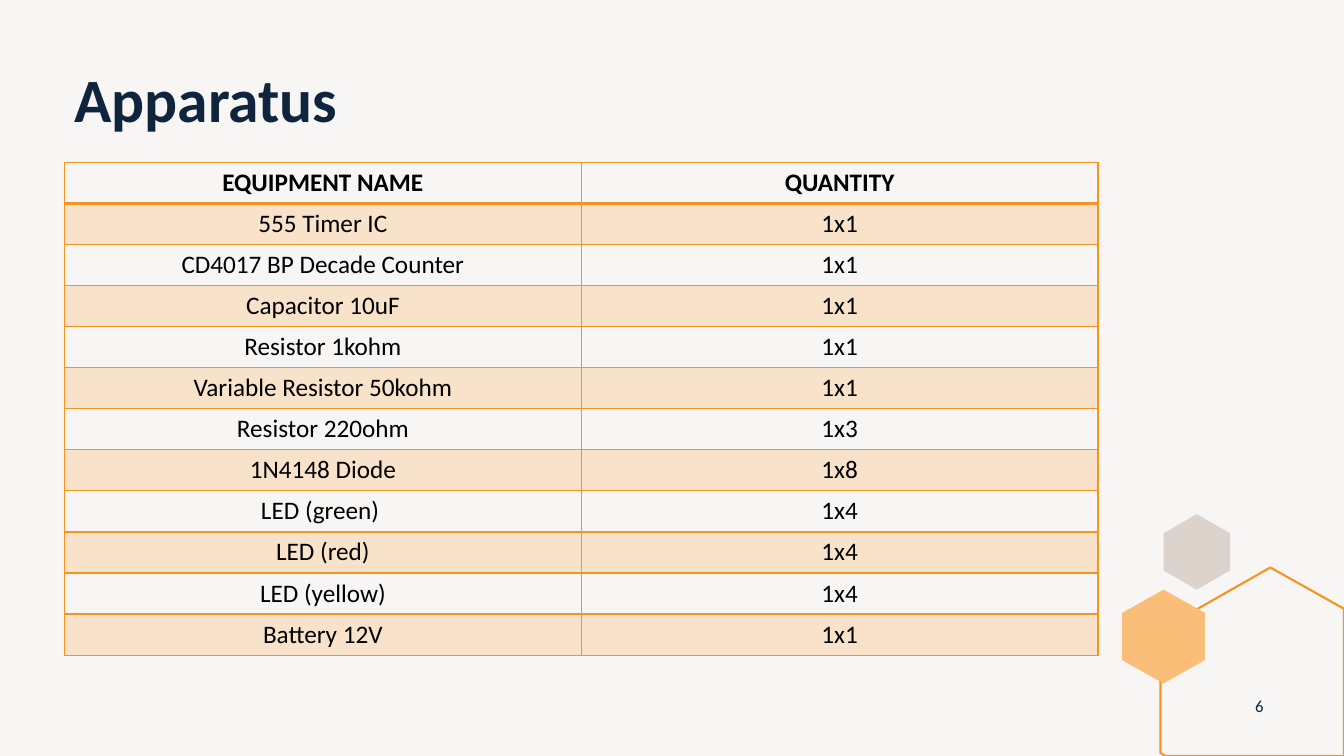
import pptx
import pptx.util
import pptx.dml.color
import pptx.enum.text
import pptx.oxml
import pptx.oxml.ns
from pptx.util import Inches

COLORS = {
    "background": "F8F6F5",
    "stone": "DCD3CC",
    "orange": "F79320",
    "apricot": "FABE79",
    "band": "F8E2CA",
    "navy": "0F253E",
    "black": "000000",
}
CENTER = pptx.enum.text.PP_ALIGN.CENTER
MIDDLE = pptx.enum.text.MSO_ANCHOR.MIDDLE


def rgb(name):
    return pptx.dml.color.RGBColor.from_string(COLORS[name])


def style_text(frame, size, color, bold=False, align=None):
    paragraph = frame.paragraphs[0]
    paragraph.alignment = align
    font = paragraph.runs[0].font
    font.name = "Calibri"
    font.size = pptx.util.Pt(size)
    font.bold = bold
    font.color.rgb = rgb(color)


deck = pptx.Presentation()
deck.slide_width = Inches(13.33)
deck.slide_height = Inches(7.5)
slide = deck.slides.add_slide(deck.slide_layouts[6])
slide.background.fill.solid()
slide.background.fill.fore_color.rgb = rgb("background")

hexagons = [
    ([(11.87, 5.1), (12.2, 5.29), (12.2, 5.66), (11.87, 5.85), (11.54, 5.66), (11.54, 5.29)], "stone", None),
    ([(12.6, 5.63), (13.33, 6.04), (13.33, 7.5), (11.56, 7.5), (11.51, 7.47), (11.51, 6.25)], None, "orange"),
    ([(11.54, 5.85), (11.95, 6.08), (11.95, 6.55), (11.54, 6.78), (11.13, 6.55), (11.13, 6.08)], "apricot", None),
]
for corners, fill, outline in hexagons:
    points = [(Inches(x), Inches(y)) for x, y in corners]
    builder = slide.shapes.build_freeform(*points[0])
    builder.add_line_segments(points[1:], close=True)
    hexagon = builder.convert_to_shape()
    hexagon.shadow.inherit = False
    if fill:
        hexagon.fill.solid()
        hexagon.fill.fore_color.rgb = rgb(fill)
    else:
        hexagon.fill.background()
    if outline:
        hexagon.line.color.rgb = rgb(outline)
        hexagon.line.width = pptx.util.Pt(1.5)
    else:
        hexagon.line.fill.background()

title = slide.shapes.add_textbox(Inches(0.64), Inches(0.64), Inches(7), Inches(0.83)).text_frame
title.word_wrap = True
title.text = "Apparatus"
title.paragraphs[0].line_spacing = 0.9
style_text(title, 44, "navy", bold=True)

page_number = slide.shapes.add_textbox(Inches(12.24), Inches(6.8), Inches(0.5), Inches(0.4)).text_frame
page_number.word_wrap = True
page_number.vertical_anchor = MIDDLE
page_number.text = "6"
style_text(page_number, 12, "navy", align=CENTER)

equipment = [
    ("EQUIPMENT NAME", "QUANTITY"),
    ("555 Timer IC", "1x1"),
    ("CD4017 BP Decade Counter", "1x1"),
    ("Capacitor 10uF", "1x1"),
    ("Resistor 1kohm", "1x1"),
    ("Variable Resistor 50kohm", "1x1"),
    ("Resistor 220ohm", "1x3"),
    ("1N4148 Diode", "1x8"),
    ("LED (green) ", "1x4"),
    ("LED (red)", "1x4"),
    ("LED (yellow)", "1x4"),
    ("Battery 12V", "1x1"),
]
apparatus = slide.shapes.add_table(
    len(equipment), 2, Inches(0.64), Inches(1.61), Inches(10.25), Inches(4.89)
).table
apparatus.horz_banding = False

for row, entry in enumerate(equipment):
    for column, value in enumerate(entry):
        cell = apparatus.cell(row, column)
        cell.text = value
        style_text(cell.text_frame, 18, "black", bold=row == 0, align=CENTER)
        for side in "LRTB":
            heavy = (row, side) in [(0, "B"), (1, "T")]
            cell._tc.get_or_add_tcPr().append(pptx.oxml.parse_xml(
                f'<a:ln{side} {pptx.oxml.ns.nsdecls("a")} w="{pptx.util.Pt(2 if heavy else 1)}">'
                f'<a:solidFill><a:srgbClr val="{COLORS["orange"]}"/></a:solidFill></a:ln{side}>'
            ))
        if row % 2:
            cell.fill.solid()
            cell.fill.fore_color.rgb = rgb("band")
        else:
            cell.fill.background()

deck.save("out.pptx")
